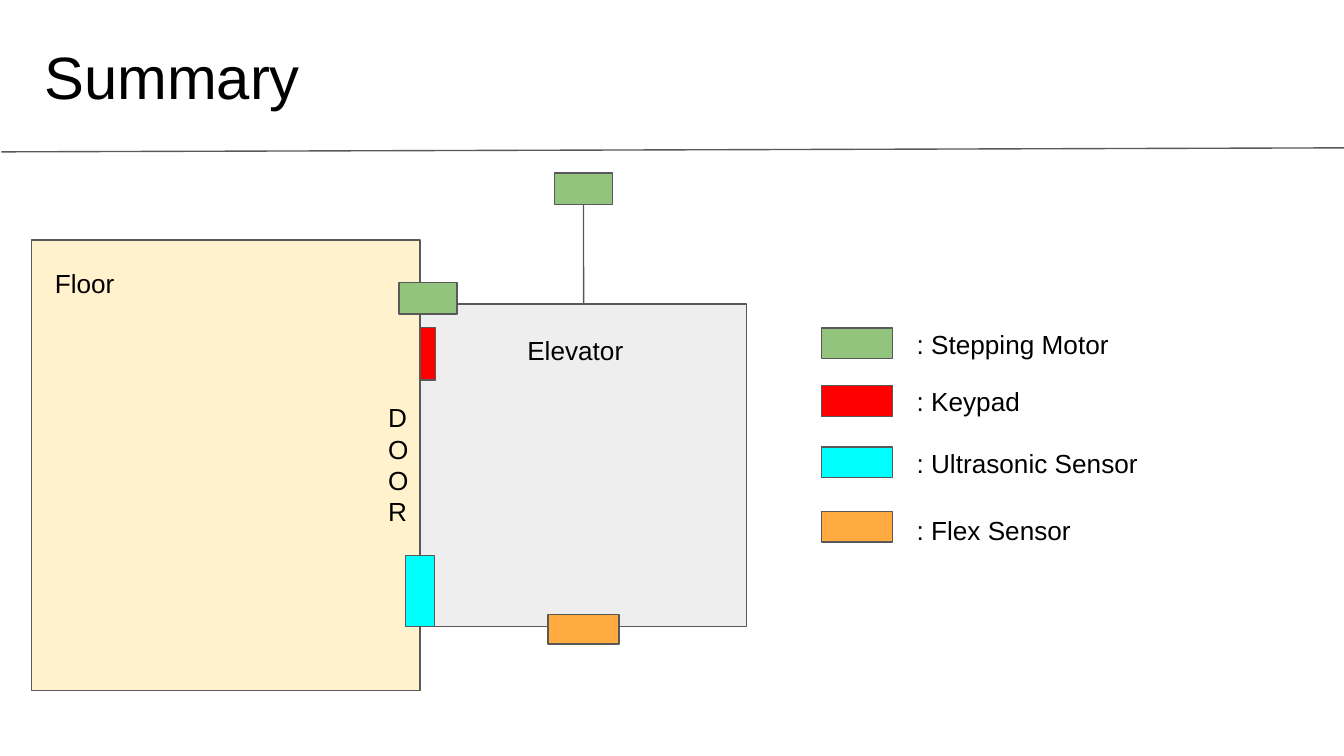
import pptx
import pptx.util
import pptx.dml.color
import pptx.enum.shapes
import pptx.enum.text
import pptx.oxml.ns
import lxml.etree

RGBColor = pptx.dml.color.RGBColor
BLACK = RGBColor(0x00, 0x00, 0x00)
OUTLINE = RGBColor(0x59, 0x59, 0x59)
ELEVATOR_GREY = RGBColor(0xEE, 0xEE, 0xEE)
FLOOR_CREAM = RGBColor(0xFF, 0xF2, 0xCC)
MOTOR_GREEN = RGBColor(0x93, 0xC4, 0x7D)
KEYPAD_RED = RGBColor(0xFF, 0x00, 0x00)
ULTRASONIC_CYAN = RGBColor(0x00, 0xFF, 0xFF)
FLEX_ORANGE = RGBColor(0xFF, 0xAB, 0x40)

# The slide is a 16:9 grid of 100 columns by 56.25 rows
CELL = pptx.util.Inches(0.1)
COLUMNS, ROWS = 100, 56.25

INSET = pptx.util.Inches(0.1)
FRAME_FORMAT = {
    "margin_left": INSET, "margin_right": INSET,
    "margin_top": INSET, "margin_bottom": INSET,
    "word_wrap": True,
    "auto_size": pptx.enum.text.MSO_AUTO_SIZE.NONE,
    "vertical_anchor": pptx.enum.text.MSO_ANCHOR.TOP,
}


def cells(*counts):
    return [round(count * CELL) for count in counts]


def within(region, column, row, width, height):
    """Turn a place in a region into a place on the slide."""
    return cells(region[0] + column, region[1] + row, width, height)


def write(frame, text, size):
    for name, value in FRAME_FORMAT.items():
        setattr(frame, name, value)
    frame.text = text
    font_format = {"name": "Arial", "size": pptx.util.Pt(size)}
    for paragraph in frame.paragraphs:
        paragraph.alignment = pptx.enum.text.PP_ALIGN.LEFT
        for run in paragraph.runs:
            run.font.color.rgb = BLACK
            for name, value in font_format.items():
                setattr(run.font, name, value)


def add_label(slide, place, text):
    write(slide.shapes.add_textbox(*place).text_frame, text, 14)


def outline(line):
    line.color.rgb = OUTLINE
    line.width = pptx.util.Pt(0.75)


def add_block(slide, place, colour):
    block = slide.shapes.add_shape(
        pptx.enum.shapes.MSO_SHAPE.RECTANGLE, *place)
    block.shadow.inherit = False
    block.fill.solid()
    block.fill.fore_color.rgb = colour
    outline(block.line)
    return block


def add_line(slide, *ends):
    line = slide.shapes.add_connector(
        pptx.enum.shapes.MSO_CONNECTOR.STRAIGHT, *ends)
    outline(line.line)
    lxml.etree.SubElement(line._element.spPr,
                          pptx.oxml.ns.qn("a:effectLst"))
    return line


def header(slide, region):
    """Title with a slightly rising rule beneath it."""
    left, top, width, height = region
    add_line(slide, *cells(left + 0.1, top + height,
                           left + width + 0.3, top + height - 0.3))
    title = slide.shapes.title
    title.left, title.top, title.width, title.height = within(
        region, 2.3, 1.95, 46.8, 7.4)
    write(title.text_frame, "Summary", 32)


def elevator_plan(slide, region):
    """Floor and elevator with the devices mounted on them."""
    # Rooms
    elevator = add_block(slide, within(region, 29, 9.75, 24.25, 24),
                         ELEVATOR_GREY)
    add_block(slide, within(region, 0.05, 5, 28.9, 33.5), FLOOR_CREAM)

    # Door devices
    add_block(slide, within(region, 27.85, 28.45, 2.2, 5.3), ULTRASONIC_CYAN)
    add_block(slide, within(region, 29, 11.5, 1.1, 3.9), KEYPAD_RED)
    add_block(slide, within(region, 27.4, 8.15, 4.3, 2.35), MOTOR_GREEN)

    # Hoist motor, its cable and the sensor under the elevator
    hoist_motor = add_block(slide, within(region, 38.97, 0, 4.3, 2.35),
                            MOTOR_GREEN)
    cable = add_line(slide, 0, 0, 0, 0)
    cable.begin_connect(elevator, 0)
    cable.end_connect(hoist_motor, 2)
    add_block(slide, within(region, 38.47, 32.85, 5.3, 2.2), FLEX_ORANGE)

    # Names
    add_label(slide, within(region, 25.6, 16.02, 2.2, 11.4), "\n".join("DOOR"))
    add_label(slide, within(region, 35.95, 11.02, 10.3, 4.4), "Elevator")
    add_label(slide, within(region, 0.8, 6.05, 10.3, 4.4), "Floor")


def legend(slide, region):
    """Colour key: a swatch and a label on each row."""
    devices = [
        (0, 1, MOTOR_GREEN, "Stepping Motor"),
        (4.3, 1, KEYPAD_RED, "Keypad"),
        (8.9, 0.95, ULTRASONIC_CYAN, "Ultrasonic Sensor"),
        (13.85, 0.8, FLEX_ORANGE, "Flex Sensor"),
    ]
    for row, drop, colour, device in devices:
        add_block(slide, within(region, 0, row + drop, 5.3, 2.3), colour)
        add_label(slide, within(region, 6.1, row, 24.3, 4.4), f": {device}")


def main():
    deck = pptx.Presentation()
    deck.slide_width, deck.slide_height = cells(COLUMNS, ROWS)
    slide = deck.slides.add_slide(deck.slide_layouts[5])
    header(slide, (0, 0, COLUMNS, 11.3))
    elevator_plan(slide, (2.3, 12.87, 53.3, 38.5))
    legend(slide, (61.12, 23.4, 30.4, 18.2))
    deck.save("out.pptx")


if __name__ == "__main__":
    main()
